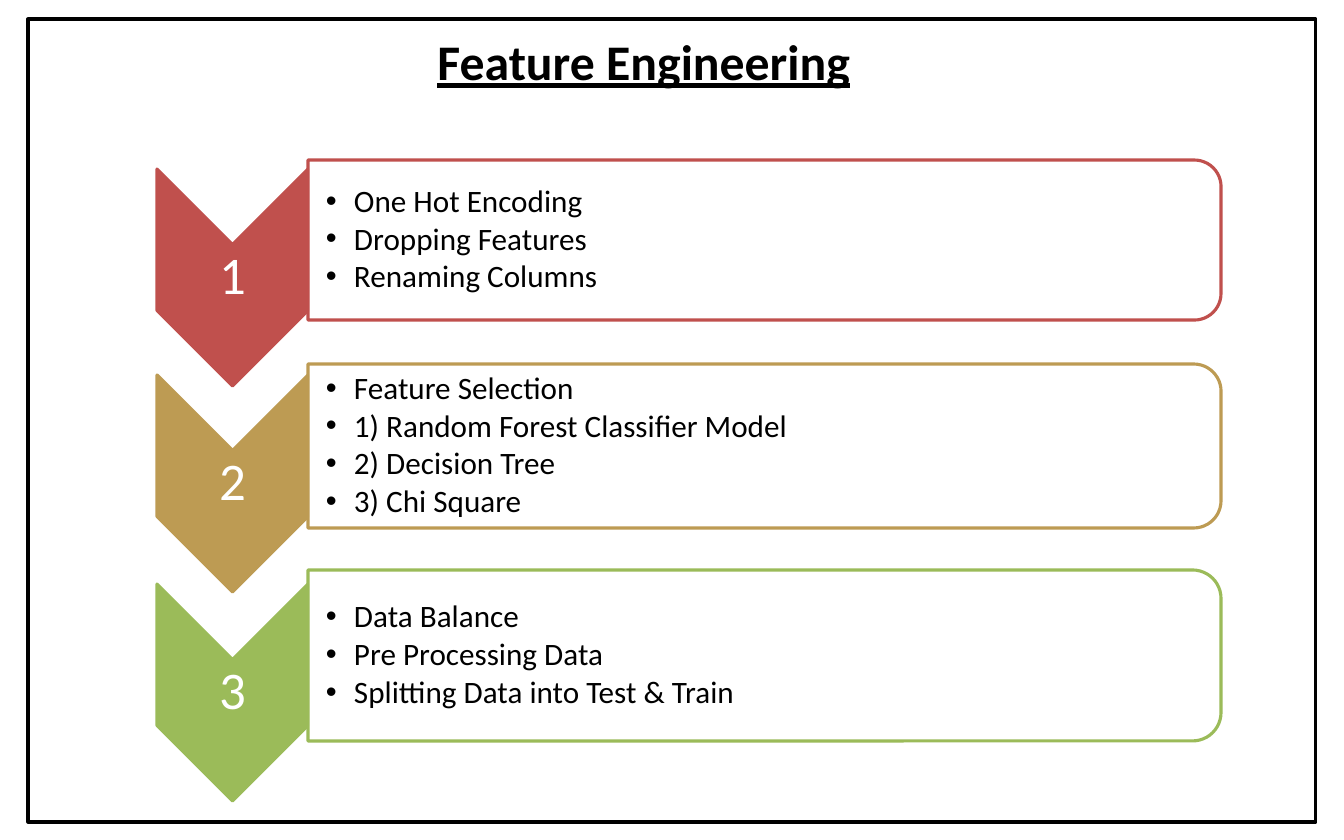
from lxml.etree import SubElement
from pptx import Presentation
from pptx.dml.color import RGBColor as Rgb
from pptx.enum.shapes import MSO_SHAPE as Kind
from pptx.enum.text import MSO_ANCHOR as Anchor, MSO_AUTO_SIZE as Fit, PP_ALIGN as Align
from pptx.oxml.ns import qn
from pptx.util import Pt

SCALE = 914400 / 112
COLORS = {"ink": "000000", "paper": "FFFFFF", "red": "C0504D",
          "tan": "BD9B53", "green": "9BBB59"}
# color, chevron top, panel top, panel height, items
STEPS = [
    ("red", 169, 160, 160,
     ["One Hot Encoding", "Dropping Features", "Renaming Columns"]),
    ("tan", 375, 364, 164,
     ["Feature Selection", "1) Random Forest Classifier Model",
      "2) Decision Tree", "3) Chi Square"]),
    ("green", 584, 570, 171,
     ["Data Balance", "Pre Processing Data", "Splitting Data into Test & Train"]),
]


def px(n):
    return round(n * SCALE)


def assign(item, values):
    for name, value in values.items():
        setattr(item, name, value)


class Board:
    """Holds the style and the current slide."""
    face = "Calibri"

    def __init__(self, slide):
        self.slide = slide
        self.holders = {p.placeholder_format.idx: p for p in slide.placeholders}

    def color(self, name):
        return Rgb.from_string(COLORS[name])

    def place(self, item, x, y, w, h):
        assign(item, {"left": px(x), "top": px(y), "width": px(w), "height": px(h)})

    def frame(self, item, pad=None):
        frame = item.text_frame
        assign(frame, {"word_wrap": True, "auto_size": Fit.NONE,
                       "vertical_anchor": Anchor.MIDDLE})
        if pad:
            sides = ("margin_left", "margin_top", "margin_right", "margin_bottom")
            assign(frame, dict(zip(sides, map(px, pad))))
        return frame

    def label(self, para, text, color, size, bold=False, line=False):
        run = para.add_run()
        run.text = text
        assign(run.font, {"name": self.face, "size": Pt(size),
                          "bold": bold, "underline": line})
        run.font.color.rgb = self.color(color)

    def title(self, text, box):
        item = self.holders[0]
        self.place(item, *box)
        para = self.frame(item).paragraphs[0]
        para.alignment = Align.CENTER
        self.label(para, text, "ink", 32, True, True)

    def shape(self, kind, box, line, fill=None, alpha=None):
        item = self.slide.shapes.add_shape(kind, *map(px, box))
        item.shadow.inherit = False
        item.line.color.rgb = self.color(line)
        item.line.width = Pt(2)
        if fill:
            item.fill.solid()
            item.fill.fore_color.rgb = self.color(fill)
        else:
            item.fill.background()
        if alpha:
            tint = item._element.spPr.find(qn("a:solidFill")).find(qn("a:srgbClr"))
            SubElement(tint, qn("a:alpha"), val=str(alpha * 1000))
        return item

    def turned(self, kind, box, *style):
        """Add a shape turned a quarter that fills the box as seen."""
        x, y, w, h = box
        shift = (w - h) / 2
        item = self.shape(kind, (x + shift, y - shift, h, w), *style)
        item.rotation = 90
        return item

    def number(self, text, box):
        item = self.slide.shapes.add_textbox(*map(px, box))
        para = self.frame(item, (2, 2, 2, 2)).paragraphs[0]
        assign(para, {"alignment": Align.CENTER, "line_spacing": 0.9})
        self.label(para, text, "paper", 34)

    def bullets(self, idx, items, box, panel):
        """Fill a body placeholder and set it just above its panel."""
        item = self.holders[idx]
        panel._element.addnext(item._element)
        self.place(item, *box)
        frame = self.frame(item, (18, 1, 1, 1))
        for i, text in enumerate(items):
            para = frame.add_paragraph() if i else frame.paragraphs[0]
            props = para._p.get_or_add_pPr()
            props.set("marL", str(px(28)))
            props.set("indent", str(px(-28)))
            SubElement(props, qn("a:buFont"), typeface="Arial")
            SubElement(props, qn("a:buChar"), char="•")
            assign(para, {"level": 1, "alignment": Align.LEFT, "line_spacing": 0.9,
                          "space_before": Pt(0), "space_after": Pt(2.7)})
            self.label(para, text, "ink", 20)

    def prune(self):
        for item in list(self.slide.placeholders):
            if not item.text_frame.text:
                item._element.getparent().remove(item._element)


def main():
    deck = Presentation()
    deck.slide_width, deck.slide_height = px(1344), px(840)
    board = Board(deck.slides.add_slide(deck.slide_layouts.get_by_name("Comparison")))
    board.title("Feature Engineering", (347, 25, 594, 72))
    for n, (color, tip, top, high, items) in enumerate(STEPS, 1):
        board.turned(Kind.CHEVRON, (157, tip, 151, 217), color, color)
        board.number(str(n), (157, tip + 76, 151, 65))
        panel = board.turned(Kind.ROUND_2_SAME_RECTANGLE, (308, top, 913, high),
                             color, "paper", 90)
        board.bullets(n, items, (308, top + 8, 905, high - 16), panel)
    board.shape(Kind.RECTANGLE, (28, 19, 1288, 803), "ink")
    board.prune()
    deck.save("out.pptx")


if __name__ == "__main__":
    main()
